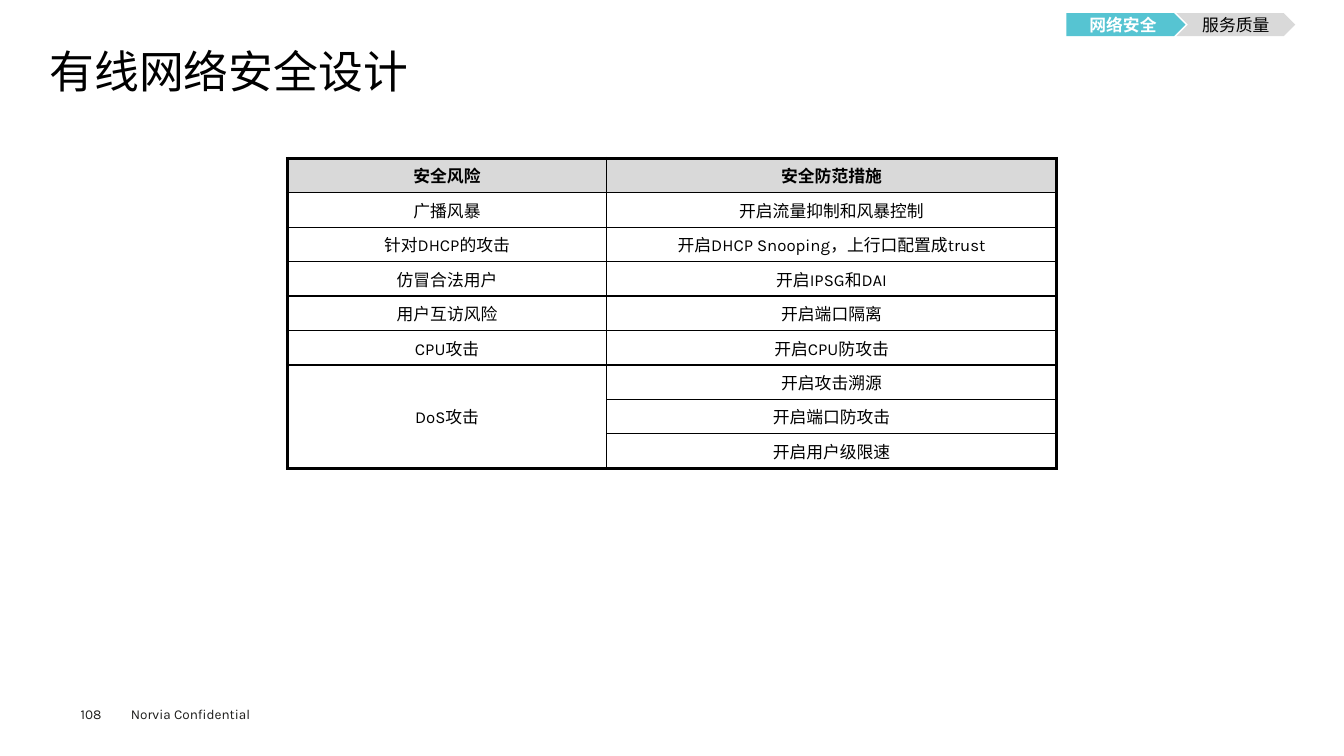
import pptx
import pptx.dml.color
import pptx.enum.shapes
import pptx.enum.text
import pptx.oxml
import pptx.oxml.ns
import pptx.util

COLORS = {"black": "000000", "ink": "1D1D1B", "white": "FFFFFF",
          "teal": "56C4D2", "grey": "D9D9D9"}
SHAPE = pptx.enum.shapes.MSO_SHAPE
ALIGN = pptx.enum.text.PP_ALIGN
ANCHOR = pptx.enum.text.MSO_ANCHOR

MEASURES = [
    ("安全风险", "安全防范措施"),
    ("广播风暴", "开启流量抑制和风暴控制"),
    ("针对DHCP的攻击", "开启DHCP Snooping，上行口配置成trust"),
    ("仿冒合法用户", "开启IPSG和DAI"),
    ("用户互访风险", "开启端口隔离"),
    ("CPU攻击", "开启CPU防攻击"),
    ("DoS攻击", "开启攻击溯源"),
    ("", "开启端口防攻击"),
    ("", "开启用户级限速"),
]


def rgb(name):
    return pptx.dml.color.RGBColor.from_string(COLORS[name])


def write(tf, text, size=12, color="black", bold=False, align=ALIGN.LEFT, spacing=None):
    p = tf.paragraphs[0]
    p.alignment = align
    p.line_spacing = spacing
    r = p.add_run()
    r.text = text
    r.font.name = "Karla"
    r.font.size = pptx.util.Pt(size)
    r.font.bold = bold
    r.font.color.rgb = rgb(color)


class Deck:
    UNIT = pptx.util.Inches(0.1)
    THIN, THICK = 1, 2.25

    def __init__(self, columns, rows):
        self.prs = pptx.Presentation()
        self.prs.slide_width, self.prs.slide_height = self.grid(columns, rows)
        self.s = self.prs.slides.add_slide(self.prs.slide_layouts[6])

    def grid(self, *cells):
        return [int(n * self.UNIT) for n in cells]

    def frame(self, sp, inset):
        tf = sp.text_frame
        tf.word_wrap = True
        if not inset:
            tf.margin_left = tf.margin_top = tf.margin_right = tf.margin_bottom = 0
        return tf

    def text(self, box, text, inset=False, **fmt):
        sp = self.s.shapes.add_textbox(*self.grid(*box))
        write(self.frame(sp, inset), text, **fmt)

    def step(self, kind, box, text, fill, **fmt):
        sp = self.s.shapes.add_shape(kind, *self.grid(*box))
        sp.shadow.inherit = False
        sp.fill.solid()
        sp.fill.fore_color.rgb = rgb(fill)
        sp.line.fill.background()
        tf = self.frame(sp, False)
        tf.vertical_anchor = ANCHOR.MIDDLE
        write(tf, text, align=ALIGN.CENTER, **fmt)

    def border(self, cell, side, width):
        ns = pptx.oxml.ns.nsdecls("a")
        cell._tc.get_or_add_tcPr().append(pptx.oxml.parse_xml(
            f'<a:{side} {ns} w="{pptx.util.Pt(width)}"><a:solidFill>'
            f'<a:srgbClr val="{COLORS["black"]}"/></a:solidFill></a:{side}>'))

    def table(self, left, top, widths, row_height, data, merge):
        last_row, last_col = len(data) - 1, len(widths) - 1
        box = self.grid(left, top, sum(widths), row_height * len(data))
        table = self.s.shapes.add_table(len(data), len(widths), *box).table
        table.first_row = table.horz_banding = False
        for column, width in zip(table.columns, self.grid(*widths)):
            column.width = width
        first, last = merge
        table.cell(*first).merge(table.cell(*last))
        for i, row in enumerate(data):
            for j, text in enumerate(row):
                cell = table.cell(i, j)
                if cell.is_spanned:
                    continue
                bottom = i + (cell.span_height if cell.is_merge_origin else 1) - 1
                outer = {"lnL": j == 0, "lnR": j == last_col,
                         "lnT": i == 0, "lnB": bottom == last_row}
                for side, thick in outer.items():
                    self.border(cell, side, self.THICK if thick else self.THIN)
                if i == 0:
                    cell.fill.solid()
                    cell.fill.fore_color.rgb = rgb("grey")
                else:
                    cell.fill.background()
                cell.vertical_anchor = ANCHOR.MIDDLE
                write(cell.text_frame, text, bold=i == 0, align=ALIGN.CENTER)


def main():
    deck = Deck(133.33, 75)
    deck.text((12, 69.5, 16, 2.7), "Norvia Confidential", inset=True, size=9.7, color="ink")
    deck.text((8, 70, 5.5, 1.6), "108", size=9.7, color="ink")
    deck.text((4.9, 4.9, 123.5, 5.4), "有线网络安全设计", size=32, spacing=0.9)
    deck.table(28.5, 15.7, (31.7, 44.6), 3.42, MEASURES, ((6, 0), (8, 0)))
    deck.step(SHAPE.PENTAGON, (105.8, 1.3, 11.8, 2.3), "网络安全", "teal",
              color="white", bold=True)
    deck.step(SHAPE.CHEVRON, (116.7, 1.3, 11.8, 2.3), "服务质量", "grey")
    deck.prs.save("out.pptx")


if __name__ == "__main__":
    main()
